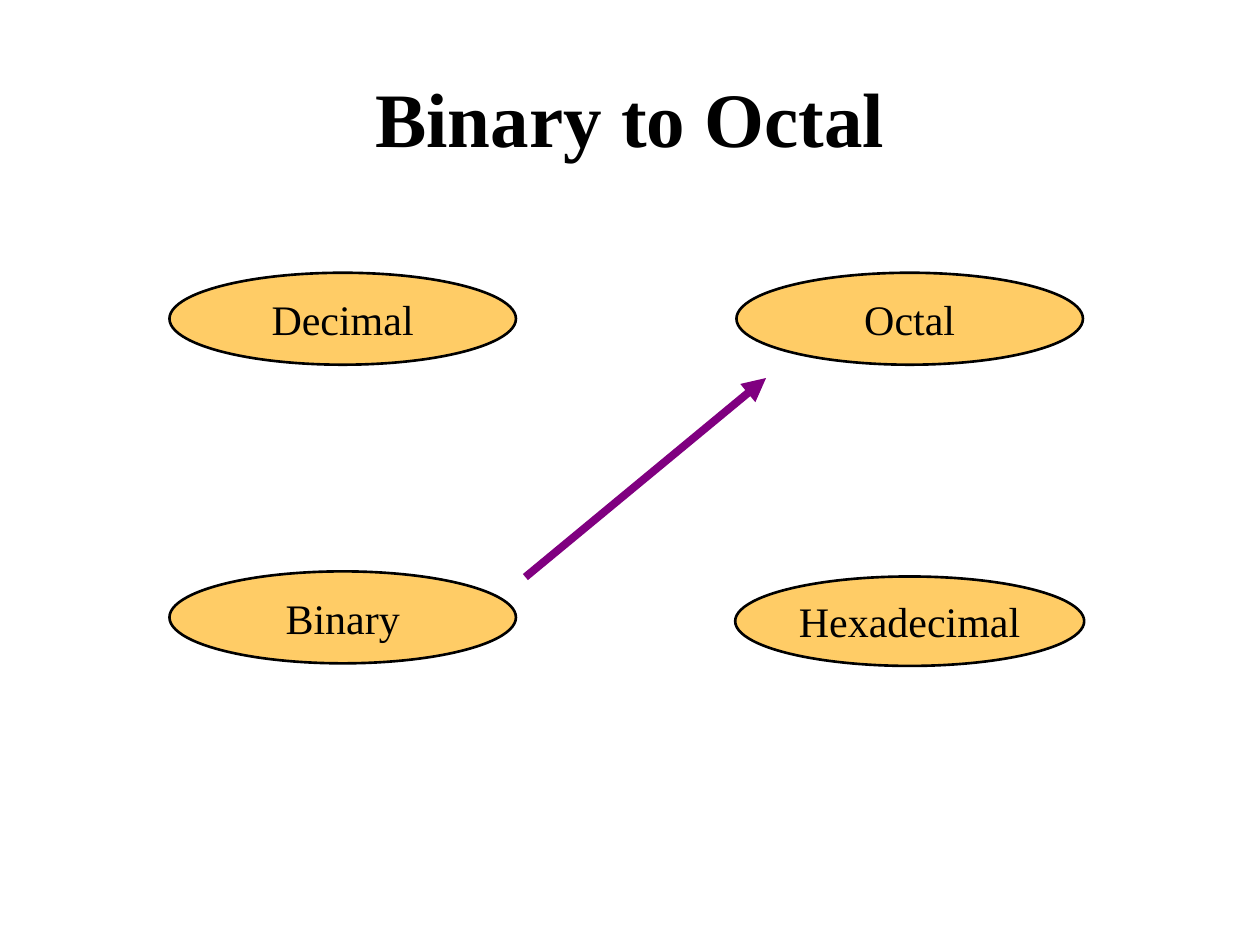
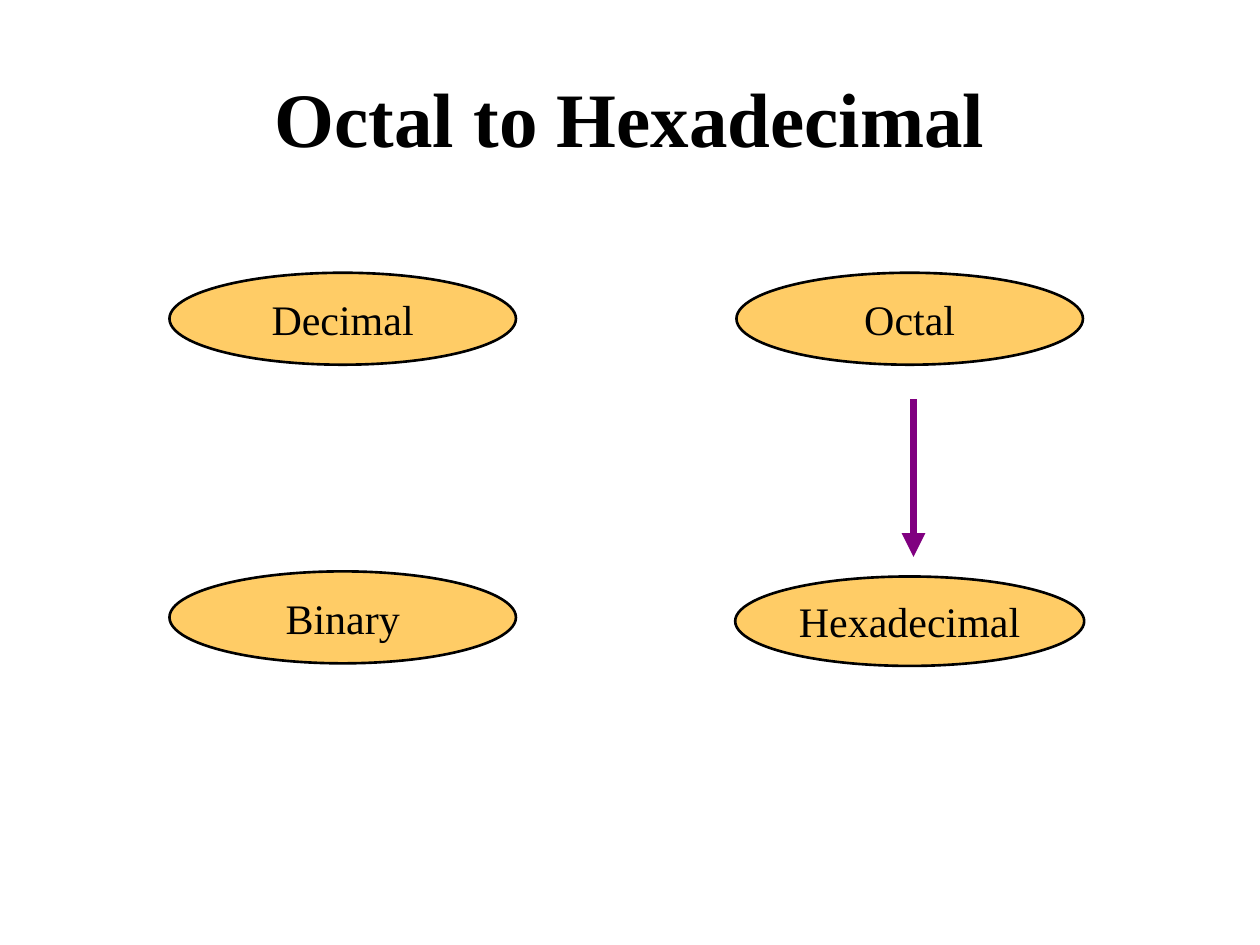
import pptx
import pptx.util
import pptx.dml.color
import pptx.enum.shapes
import pptx.enum.text
import pptx.oxml
import pptx.oxml.ns

BLACK = pptx.dml.color.RGBColor(0x00, 0x00, 0x00)
AMBER = pptx.dml.color.RGBColor(0xFF, 0xCC, 0x66)
PURPLE = pptx.dml.color.RGBColor(0x80, 0x00, 0x80)
FONT = "Times New Roman"

# The grid has 10 columns and 7.5 rows of square cells
COLUMNS, ROWS = 10, 7.5
CELL = pptx.util.Inches(1)

# Ovals: centre column, centre row, width, height
LEFT, RIGHT = 2.72, 7.22
OVALS = {
    "Hexadecimal": (RIGHT, 4.93, 2.77, 0.71),
    "Decimal": (LEFT, 2.53, 2.75, 0.73),
    "Octal": (RIGHT, 2.53, 2.75, 0.73),
    "Binary": (LEFT, 4.9, 2.75, 0.73),
}

# Each conversion: title, arrow start, arrow end
CONVERSIONS = [
    ("Binary to Octal", (4.17, 4.58), (6.08, 3)),
    ("Octal to Hexadecimal", (7.25, 3.17), (7.25, 4.42)),
]


class Deck:
    """Holds the shared style and the current slide."""

    def __init__(self):
        self.presentation = pptx.Presentation()
        self.presentation.slide_width = self.grid(COLUMNS)
        self.presentation.slide_height = self.grid(ROWS)
        self.slide = None

    def grid(self, cells):
        return pptx.util.Emu(round(cells * CELL))

    def new_slide(self):
        blank = self.presentation.slide_layouts[6]
        self.slide = self.presentation.slides.add_slide(blank)

    def set_text(self, shape, text, size, bold=False, wrap=False):
        frame = shape.text_frame
        frame.text = text
        frame.word_wrap = wrap
        frame.vertical_anchor = pptx.enum.text.MSO_ANCHOR.MIDDLE
        paragraph = frame.paragraphs[0]
        paragraph.alignment = pptx.enum.text.PP_ALIGN.CENTER
        font = paragraph.runs[0].font
        font.name = FONT
        font.size = pptx.util.Pt(size)
        font.bold = bold
        font.color.rgb = BLACK

    def title(self, text):
        box = self.slide.shapes.add_textbox(*map(self.grid, (0.5, 0.3, COLUMNS - 1, 1.25)))
        self.set_text(box, text, 44, bold=True, wrap=True)

    def oval(self, text, column, row, width, height):
        bounds = (column - width / 2, row - height / 2, width, height)
        shape = self.slide.shapes.add_shape(
            pptx.enum.shapes.MSO_SHAPE.OVAL, *map(self.grid, bounds))
        shape.shadow.inherit = False
        shape.fill.solid()
        shape.fill.fore_color.rgb = AMBER
        shape.line.color.rgb = BLACK
        shape.line.width = pptx.util.Pt(1.5)
        self.set_text(shape, text, 24)

    def arrow(self, start, end):
        connector = self.slide.shapes.add_connector(
            pptx.enum.shapes.MSO_CONNECTOR.STRAIGHT, *map(self.grid, start + end))
        connector.line.color.rgb = PURPLE
        connector.line.width = pptx.util.Pt(4.5)
        # Arrowhead at the end, and no shadow
        namespace = pptx.oxml.ns.nsdecls("a")
        properties = connector.element.spPr
        properties.ln.append(pptx.oxml.parse_xml(f'<a:tailEnd {namespace} type="triangle"/>'))
        properties.append(pptx.oxml.parse_xml(f"<a:effectLst {namespace}/>"))


def main():
    deck = Deck()
    for title, start, end in CONVERSIONS:
        deck.new_slide()
        deck.title(title)
        for name, place in OVALS.items():
            deck.oval(name, *place)
        deck.arrow(start, end)
    deck.presentation.save("out.pptx")


if __name__ == "__main__":
    main()
